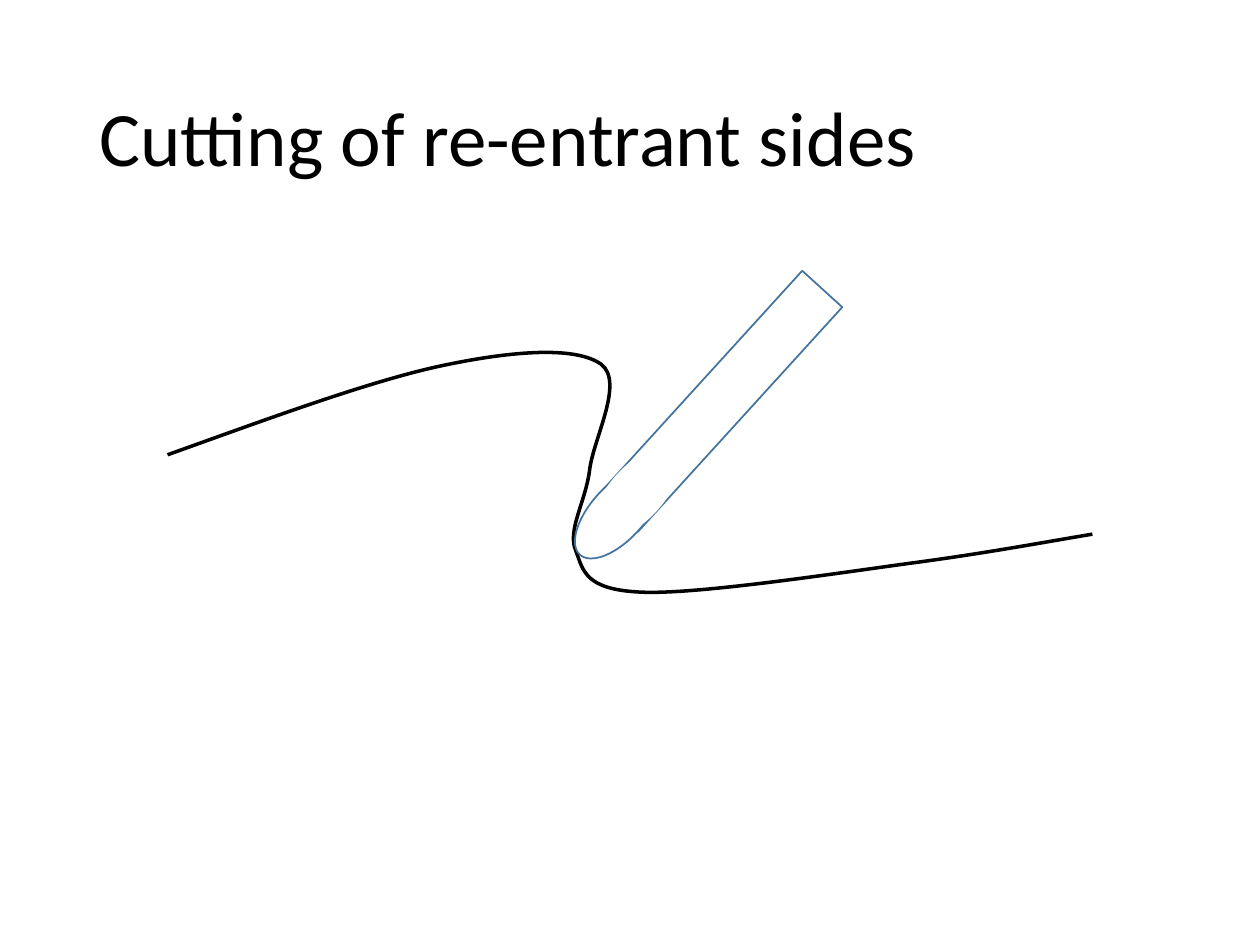
from lxml.etree import SubElement
from pptx import Presentation
from pptx.dml.color import RGBColor
from pptx.enum.shapes import MSO_SHAPE
from pptx.enum.text import MSO_ANCHOR
from pptx.oxml.ns import qn
from pptx.util import Inches, Pt

BLACK = RGBColor(0x00, 0x00, 0x00)
WHITE = RGBColor(0xFF, 0xFF, 0xFF)
BLUE = RGBColor(0x43, 0x73, 0x9E)

TOOL_ANGLE = 42.3
TOOL_WIDTH = 0.43
PROFILE_BOUNDS = (1.33, 2.8, 8.67, 4.7)
PROFILE_START = (1.33, 3.61)
PROFILE_CURVES = [
    ((2.14, 3.32), (2.95, 3.02), (3.52, 2.9)),
    ((4.09, 2.78), (4.57, 2.75), (4.77, 2.89)),
    ((4.96, 3.03), (4.71, 3.48), (4.68, 3.73)),
    ((4.65, 3.98), (4.5, 4.21), (4.57, 4.37)),
    ((4.63, 4.53), (4.64, 4.68), (5.09, 4.7)),
    ((5.53, 4.72), (6.64, 4.55), (7.23, 4.47)),
    ((7.83, 4.39), (8.25, 4.31), (8.67, 4.24)),
]


def add_text(page, text, left, top, width, height, *, size, color, font, spacing):
    box = page.shapes.add_textbox(Inches(left), Inches(top), Inches(width), Inches(height))
    frame = box.text_frame
    frame.word_wrap = True
    frame.vertical_anchor = MSO_ANCHOR.MIDDLE
    para = frame.paragraphs[0]
    para.line_spacing = spacing
    span = para.add_run()
    span.text = text
    span.font.size = Pt(size)
    span.font.name = font
    span.font.color.rgb = color


def add_command(outline, tag, points, left, top):
    command = SubElement(outline, qn(tag))
    for x, y in points:
        SubElement(command, qn("a:pt"), x=str(Inches(x - left)), y=str(Inches(y - top)))


def add_curve(page, bounds, start, curves, *, color, width):
    left, top, right, bottom = bounds
    builder = page.shapes.build_freeform(Inches(left), Inches(top))
    builder.add_line_segments([(Inches(right), Inches(bottom))], close=False)
    shape = builder.convert_to_shape()
    outline = shape.element.find(".//" + qn("a:path"))
    for child in list(outline):
        outline.remove(child)
    add_command(outline, "a:moveTo", [start], left, top)
    for curve in curves:
        add_command(outline, "a:cubicBezTo", curve, left, top)
    shape.shadow.inherit = False
    shape.fill.background()
    shape.line.color.rgb = color
    shape.line.width = Pt(width)


def add_tool_part(group, kind, left, top, height, *, line=None):
    shape = group.shapes.add_shape(
        kind, Inches(left), Inches(top), Inches(TOOL_WIDTH), Inches(height)
    )
    shape.rotation = TOOL_ANGLE
    shape.shadow.inherit = False
    shape.fill.solid()
    shape.fill.fore_color.rgb = WHITE
    if line is None:
        shape.line.fill.background()
    else:
        shape.line.color.rgb = line
        shape.line.width = Pt(1)


def add_tool(page):
    group = page.shapes.add_group_shape()
    add_tool_part(group, MSO_SHAPE.RECTANGLE, 5.5, 1.98, 2.41, line=BLUE)
    add_tool_part(group, MSO_SHAPE.OVAL, 4.69, 3.62, 0.9, line=BLUE)
    add_tool_part(group, MSO_SHAPE.OVAL, 4.84, 3.46, 0.9)


def main():
    deck = Presentation()
    deck.slide_width = Inches(10)
    deck.slide_height = Inches(7.5)
    page = deck.slides.add_slide(deck.slide_layouts[6])
    add_text(page, "Cutting of re-entrant sides", 0.69, 0.4, 8.62, 1.45,
             size=44, color=BLACK, font="Calibri", spacing=0.9)
    add_curve(page, PROFILE_BOUNDS, PROFILE_START, PROFILE_CURVES, color=BLACK, width=2)
    add_tool(page)
    deck.save("out.pptx")


if __name__ == "__main__":
    main()
